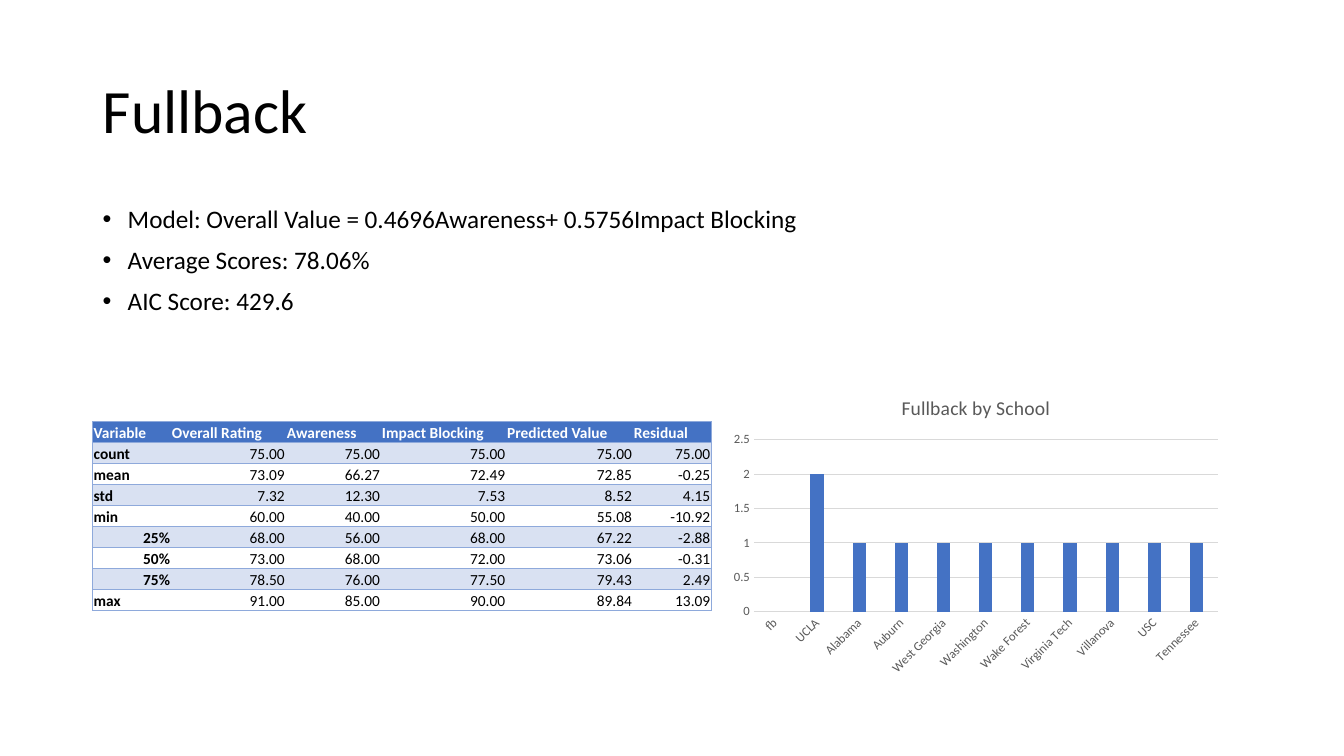
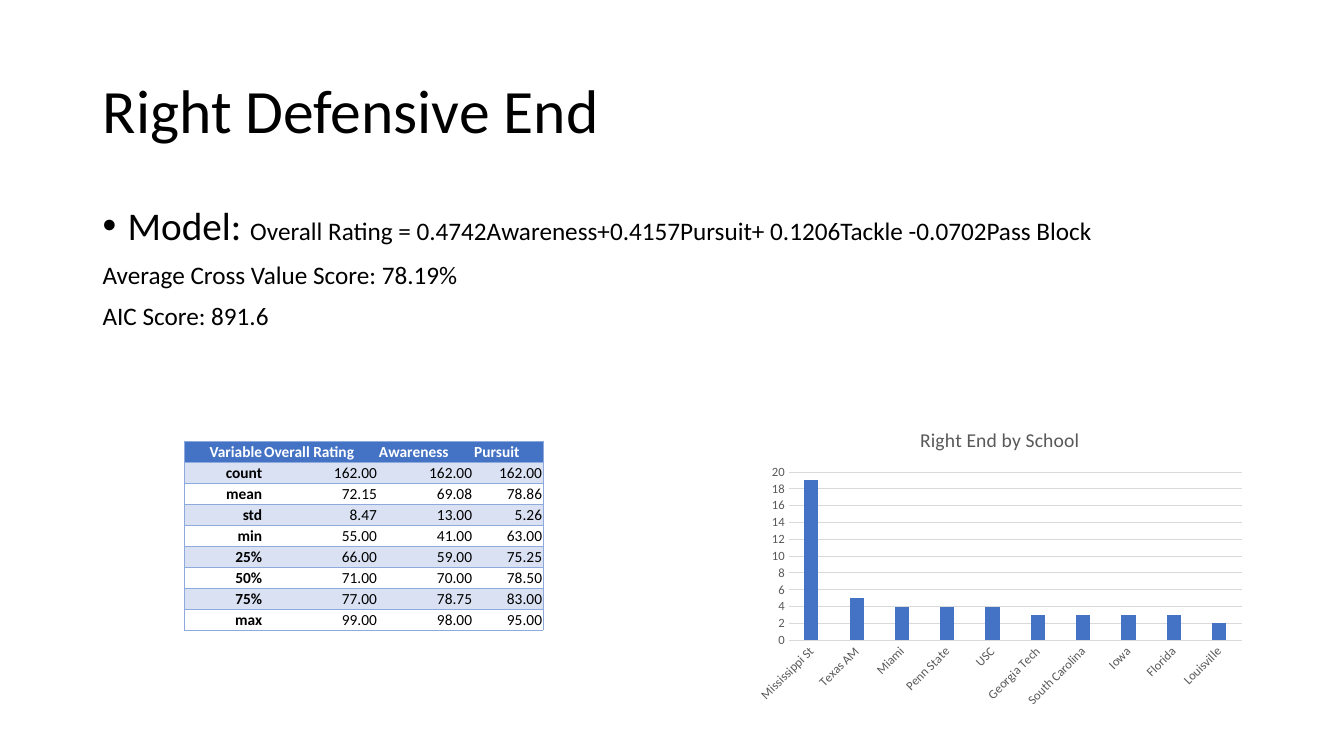
from lxml.etree import SubElement
from pptx import Presentation
from pptx.chart.data import CategoryChartData
from pptx.dml.color import RGBColor
from pptx.enum.chart import XL_CHART_TYPE, XL_TICK_MARK
from pptx.enum.text import MSO_ANCHOR, MSO_AUTO_SIZE, PP_ALIGN
from pptx.oxml.ns import qn
from pptx.util import Pt

FONT = "Calibri"
BLACK, WHITE, GRAY, GRID = "000000", "FFFFFF", "595959", "D9D9D9"
BLUE, PALE_BLUE, BORDER = "4472C4", "D9E1F2", "8EA9DB"
NO_TABLE_STYLE = "{2D5ABB26-0587-4C30-8999-92F81FD0307C}"
LEFT, WIDTH = 66.2, 828
ROW_HEIGHT = 15
STATISTICS = ["count", "mean", "std", "min", "25%", "50%", "75%", "max"]


def color(code):
    return RGBColor.from_string(code)


def style_font(font, size, code, bold=False):
    font.name = FONT
    font.size = Pt(size)
    font.bold = bold
    font.color.rgb = color(code)


class PositionReport:
    """Holds the deck style and the slide being filled."""

    def __init__(self):
        self.deck = Presentation()
        self.deck.slide_width, self.deck.slide_height = Pt(960), Pt(540)
        self.slide = None

    def start(self, heading):
        self.slide = self.deck.slides.add_slide(self.deck.slide_layouts[5])
        title = self.slide.shapes.title
        title.left, title.top = Pt(LEFT), Pt(28.8)
        title.width, title.height = Pt(WIDTH), Pt(104.4)
        frame = title.text_frame
        frame.text = heading
        frame.auto_size = MSO_AUTO_SIZE.NONE
        frame.vertical_anchor = MSO_ANCHOR.MIDDLE
        paragraph = frame.paragraphs[0]
        paragraph.alignment = PP_ALIGN.LEFT
        paragraph.line_spacing = 0.9
        style_font(paragraph.runs[0].font, 44, BLACK)

    def body(self, findings):
        box = self.slide.shapes.add_textbox(Pt(LEFT), Pt(144), Pt(WIDTH), Pt(342.7))
        frame = box.text_frame
        frame.word_wrap = True
        for index, (bulleted, pieces) in enumerate(findings):
            paragraph = frame.add_paragraph() if index else frame.paragraphs[0]
            paragraph.line_spacing = 0.9
            paragraph.space_before = Pt(10)
            for text, size in pieces:
                run = paragraph.add_run()
                run.text = text
                style_font(run.font, size, BLACK)
            if bulleted:
                self.bullet(paragraph)

    def bullet(self, paragraph):
        properties = paragraph._p.get_or_add_pPr()
        properties.set("marL", str(Pt(18)))
        properties.set("indent", str(Pt(-18)))
        SubElement(properties, qn("a:buFont")).set("typeface", "Arial")
        SubElement(properties, qn("a:buChar")).set("char", "•")

    def table(self, left, top, widths, header, values, labels_right=False):
        rows = [header] + [[name] + line.split() for name, line in zip(STATISTICS, values)]
        frame = self.slide.shapes.add_table(
            len(rows), len(widths), Pt(left), Pt(top), Pt(sum(widths)), Pt(ROW_HEIGHT * len(rows)))
        summary = frame.table
        summary.horz_banding = summary.first_row = False
        summary._tbl.tblPr.find(qn("a:tableStyleId")).text = NO_TABLE_STYLE
        for column, width in zip(summary.columns, widths):
            column.width = Pt(width)
        for r, row in enumerate(rows):
            summary.rows[r].height = Pt(ROW_HEIGHT)
            for c, text in enumerate(row):
                cell = summary.cell(r, c)
                if c:
                    right = r > 0
                else:
                    right = labels_right or text.endswith("%")
                sides = ["L"] * (c == 0) + ["R"] * (c == len(row) - 1) + ["T", "B"]
                self.cell_borders(cell, sides)
                self.cell_text(cell, text, right, WHITE if r == 0 else BLACK, r == 0 or c == 0)
                if r and r % 2 == 0:
                    cell.fill.background()
                else:
                    cell.fill.solid()
                    cell.fill.fore_color.rgb = color(PALE_BLUE if r else BLUE)

    def cell_text(self, cell, text, right, code, bold):
        cell.margin_left = cell.margin_right = cell.margin_top = Pt(0.7)
        cell.margin_bottom = Pt(0)
        cell.vertical_anchor = MSO_ANCHOR.BOTTOM
        cell.text_frame.text = text
        paragraph = cell.text_frame.paragraphs[0]
        paragraph.alignment = PP_ALIGN.RIGHT if right else PP_ALIGN.LEFT
        style_font(paragraph.runs[0].font, 11, code, bold)

    def cell_borders(self, cell, sides):
        properties = cell._tc.get_or_add_tcPr()
        for side in sides:
            line = SubElement(properties, qn("a:ln" + side))
            line.set("w", str(Pt(0.5)))
            fill = SubElement(line, qn("a:solidFill"))
            SubElement(fill, qn("a:srgbClr")).set("val", BORDER)

    def chart(self, left, top, heading, players, maximum, step):
        data = CategoryChartData()
        data.categories = list(players)
        data.add_series("Series 1", list(players.values()))
        chart = self.slide.shapes.add_chart(
            XL_CHART_TYPE.COLUMN_CLUSTERED, Pt(left), Pt(top), Pt(360), Pt(216), data).chart
        style_font(chart.font, 10, BLACK)
        chart.has_legend = False
        chart.has_title = True
        chart.chart_title.include_in_layout = False
        title = chart.chart_title.text_frame
        title.text = heading
        style_font(title.paragraphs[0].runs[0].font, 14, GRAY)

        plot = chart.plots[0]
        plot.gap_width, plot.overlap = 219, -27
        plot.vary_by_categories = False
        bars = plot.series[0].format.fill
        bars.solid()
        bars.fore_color.rgb = color(BLUE)

        schools, counts = chart.category_axis, chart.value_axis
        for axis in (schools, counts):
            axis.major_tick_mark = axis.minor_tick_mark = XL_TICK_MARK.NONE
            style_font(axis.tick_labels.font, 9, GRAY)
        schools._element.find(qn("c:txPr")).find(qn("a:bodyPr")).set("rot", str(-45 * 60000))
        counts.minimum_scale, counts.maximum_scale = 0, maximum
        counts.major_unit = step
        counts.format.line.fill.background()
        for line in (schools.format.line, counts.major_gridlines.format.line):
            line.color.rgb = color(GRID)
            line.width = Pt(0.75)


def main():
    report = PositionReport()

    report.start("Fullback")
    report.body([
        (True, [("Model: Overall Value = 0.4696Awareness+ 0.5756Impact Blocking", 18)]),
        (True, [("Average Scores: 78.06%", 18)]),
        (True, [("AIC Score: 429.6", 18)]),
    ])
    fullback_schools = ["Alabama", "Auburn", "West Georgia", "Washington", "Wake Forest",
                        "Virginia Tech", "Villanova", "USC", "Tennessee"]
    report.chart(517, 270.7, "Fullback by School",
                 {"fb": None, "UCLA": 2, **dict.fromkeys(fullback_schools, 1)}, 2.5, 0.5)
    report.table(
        LEFT, 301, [56, 82, 68, 89.5, 90.5, 56],
        ["Variable", "Overall Rating", "Awareness", "Impact Blocking", "Predicted Value", "Residual"],
        ["75.00 75.00 75.00 75.00 75.00",
         "73.09 66.27 72.49 72.85 -0.25",
         "7.32 12.30 7.53 8.52 4.15",
         "60.00 40.00 50.00 55.08 -10.92",
         "68.00 56.00 68.00 67.22 -2.88",
         "73.00 68.00 72.00 73.06 -0.31",
         "78.50 76.00 77.50 79.43 2.49",
         "91.00 85.00 90.00 89.84 13.09"])

    report.start("Right Defensive End")
    report.body([
        (True, [("Model: ", 28),
                ("Overall Rating = 0.4742Awareness+0.4157Pursuit+ 0.1206Tackle -0.0702Pass Block", 18)]),
        (False, [("Average Cross Value Score: 78.19%", 18)]),
        (False, [("AIC Score: 891.6", 18)]),
    ])
    report.chart(534.2, 293.8, "Right End by School",
                 {"Mississippi St": 19, "Texas AM": 5, "Miami": 4, "Penn State": 4, "USC": 4,
                  "Georgia Tech": 3, "South Carolina": 3, "Iowa": 3, "Florida": 3,
                  "Louisville": 2}, 20, 2)
    report.table(
        132, 315, [56, 82, 68, 50],
        ["Variable", "Overall Rating", "Awareness", "Pursuit"],
        ["162.00 162.00 162.00",
         "72.15 69.08 78.86",
         "8.47 13.00 5.26",
         "55.00 41.00 63.00",
         "66.00 59.00 75.25",
         "71.00 70.00 78.50",
         "77.00 78.75 83.00",
         "99.00 98.00 95.00"],
        labels_right=True)

    report.deck.save("out.pptx")


if __name__ == "__main__":
    main()
